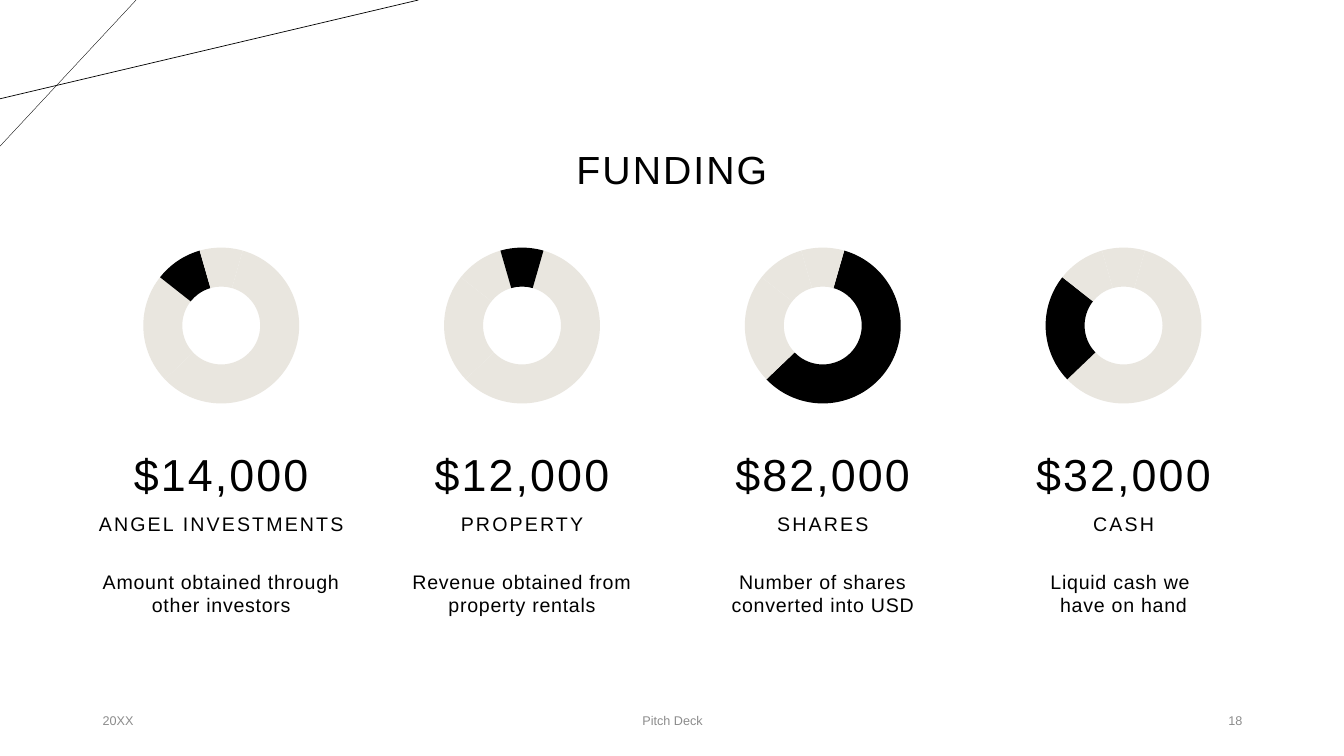
"""Build the funding slide with four doughnut charts."""
from lxml.etree import SubElement
from pptx import Presentation
from pptx.chart.data import CategoryChartData
from pptx.dml.color import RGBColor
from pptx.enum.chart import XL_CHART_TYPE
from pptx.enum.shapes import MSO_CONNECTOR
from pptx.enum.text import MSO_ANCHOR, PP_ALIGN
from pptx.oxml import parse_xml
from pptx.oxml.ns import nsdecls, qn
from pptx.util import Inches, Pt

TITLE = "FUNDING"
SHARES = (59, 23, 10, 9)
SOURCES = [
    ("$14,000", "ANGEL INVESTMENTS", "Amount obtained through other investors", 2),
    ("$12,000", "PROPERTY", "Revenue obtained from property rentals", 3),
    ("$82,000", "SHARES", "Number of shares converted into USD", 0),
    ("$32,000", "CASH", "Liquid cash we \vhave on hand", 1),
]
FOOTERS = [
    ("20XX", 0.92, 3, PP_ALIGN.LEFT),
    ("Pitch Deck", 4.42, 4.5, PP_ALIGN.CENTER),
    ("18", 9.42, 3, PP_ALIGN.RIGHT),
]
CORNER_LINES = [(1.35, 1.45, 0.25), (4.15, 0.98, 0.5)]
COLORS = {"ink": "000000", "ring": "E9E6DF", "muted": "8C8C8C", "paper": "FFFFFF"}
FONT = "Arial"

WIDTH, HEIGHT = 13.33, 7.5
LEFT, PITCH, COLUMN = 0.92, 2.983, 2.55
CHART_W, CHART_H, CHART_TOP = 2.03, 1.82, 2.32
RING = 0.85 * CHART_H
ROWS = [
    (4.14, 0.88, {"size": 32, "spacing": 1.5, "anchor": MSO_ANCHOR.BOTTOM, "line": 0.9}),
    (4.88, 0.48, {"size": 14, "spacing": 1.5, "anchor": MSO_ANCHOR.BOTTOM, "line": 0.9}),
    (5.6, 0.93, {"size": 14, "spacing": 0.5, "anchor": MSO_ANCHOR.TOP, "line": 1.0}),
]


def rgb(name):
    return RGBColor.from_string(COLORS[name])


def add_text(s, text, box, size, color="ink", align=PP_ALIGN.CENTER, spacing=0,
             anchor=MSO_ANCHOR.MIDDLE, line=1.0, before=0, inset=0.1):
    tf = s.shapes.add_textbox(*map(Inches, box)).text_frame
    frame = {"word_wrap": True, "vertical_anchor": anchor,
             "margin_left": Inches(inset), "margin_right": Inches(inset)}
    for key, value in frame.items():
        setattr(tf, key, value)
    p = tf.paragraphs[0]
    p.text = text
    for key, value in {"alignment": align, "line_spacing": line,
                       "space_before": Pt(before)}.items():
        setattr(p, key, value)
    for r in p.runs:
        r.font.name, r.font.size = FONT, Pt(size)
        r.font.color.rgb = rgb(color)
        if spacing:
            r.font._element.set("spc", str(int(spacing * 100)))


def add_ring(s, left, highlight):
    data = CategoryChartData()
    data.categories = [str(n + 1) for n in range(len(SHARES))]
    data.add_series("Series 1", SHARES)
    box = map(Inches, (left, CHART_TOP, CHART_W, CHART_H))
    chart = s.shapes.add_chart(XL_CHART_TYPE.DOUGHNUT, *box, data).chart
    chart.has_legend = chart.has_title = False
    chart.font.name, chart.font.size = FONT, Pt(10)
    chart.font.color.rgb = rgb("ink")
    plot = chart.plots[0]
    plot.vary_by_categories = False
    for i in range(len(SHARES)):
        fmt = plot.series[0].points[i].format
        fmt.fill.solid()
        fmt.fill.fore_color.rgb = rgb("ink" if i == highlight else "ring")
        fmt.line.fill.background()
    for tag, value in (("c:firstSliceAng", 16), ("c:holeSize", 80)):
        plot._element.find(qn(tag)).set("val", str(value))
    area = chart._chartSpace.chart.plotArea
    for layout in area.findall(qn("c:layout")):
        area.remove(layout)
    layout = parse_xml(f"<c:layout {nsdecls('c')}/>")
    manual = SubElement(layout, qn("c:manualLayout"))
    w, h = RING / CHART_W, RING / CHART_H
    for tag, value in (("layoutTarget", "inner"), ("xMode", "edge"), ("yMode", "edge"),
                       ("x", (1 - w) / 2), ("y", (1 - h) / 2), ("w", w), ("h", h)):
        SubElement(manual, qn(f"c:{tag}")).set("val", str(value))
    area.insert(0, layout)


def main():
    prs = Presentation()
    prs.slide_width, prs.slide_height = Inches(WIDTH), Inches(HEIGHT)
    s = prs.slides.add_slide(prs.slide_layouts[6])
    s.background.fill.solid()
    s.background.fill.fore_color.rgb = rgb("paper")

    for x, y, weight in CORNER_LINES:
        sp = s.shapes.add_connector(MSO_CONNECTOR.STRAIGHT, Inches(x), 0, 0, Inches(y))
        sp.line.width = Pt(weight)
        sp.line.color.rgb = rgb("ink")
        SubElement(sp._element.spPr, qn("a:effectLst"))

    add_text(s, TITLE, (2.06, 0.98, 9.21, 1.45), 28, spacing=1.5, line=0.9)
    for i, (*texts, highlight) in enumerate(SOURCES):
        left = LEFT + i * PITCH
        add_ring(s, left + (COLUMN - CHART_W) / 2, highlight)
        for text, (top, height, style) in zip(texts, ROWS):
            add_text(s, text, (left, top, COLUMN, height), before=10, inset=0, **style)
    for text, left, width, align in FOOTERS:
        add_text(s, text, (left, 6.95, width, 0.4), 9, "muted", align)
    prs.save("out.pptx")


if __name__ == "__main__":
    main()
